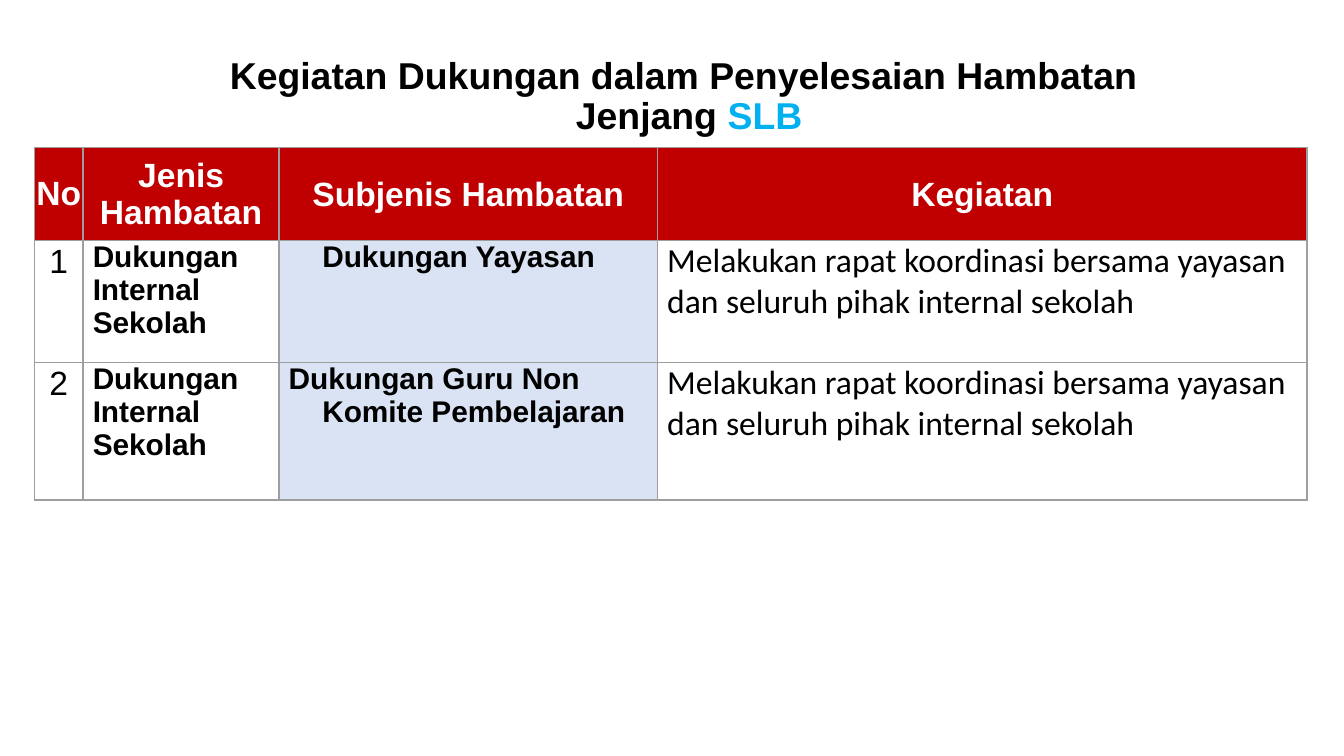
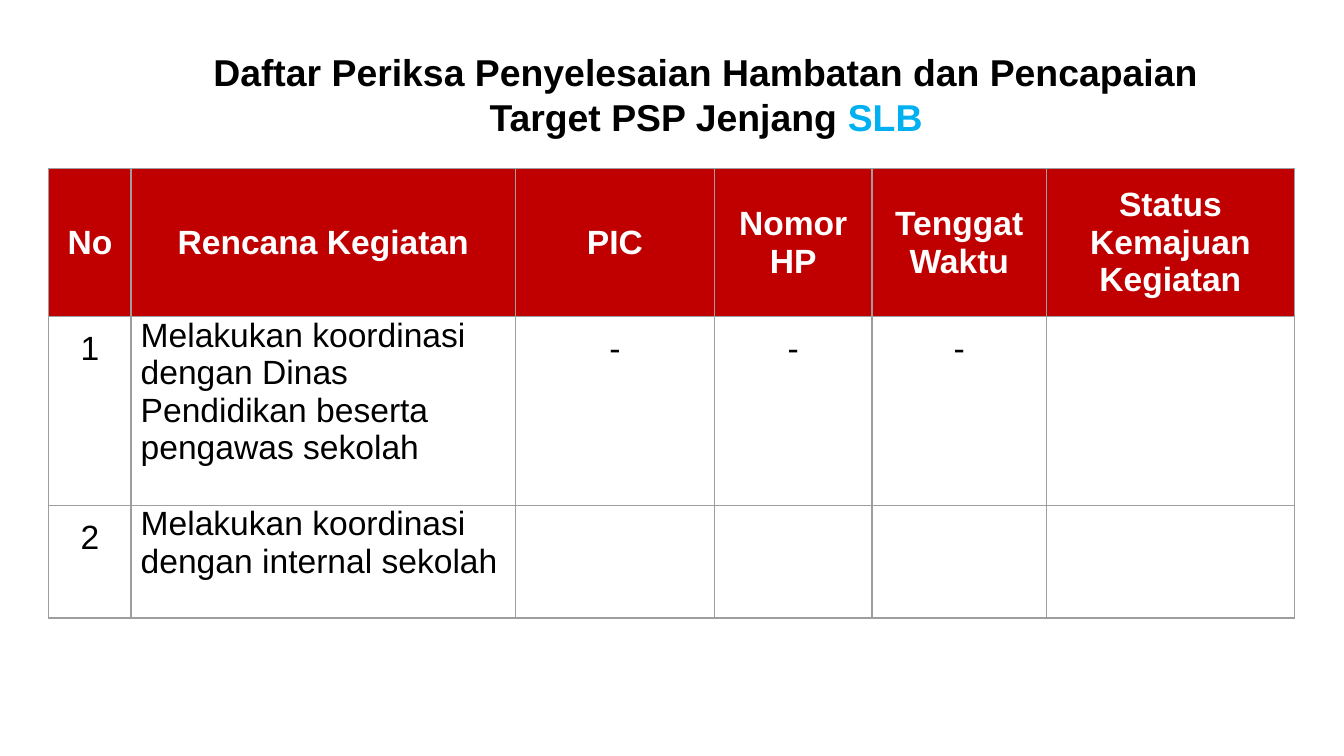
from pptx import Presentation
from pptx.dml.color import RGBColor
from pptx.enum.text import MSO_ANCHOR, PP_ALIGN
from pptx.oxml import parse_xml
from pptx.oxml.ns import nsdecls
from pptx.util import Pt

COLORS = {
    "text": "000000",
    "accent": "00B0F0",
    "header": "C00000",
    "header_text": "FFFFFF",
    "tint": "DAE3F3",
    "border": "9E9E9E",
}

# Cell styles; margins run left, top, right, bottom
EVEN = (7.2,) * 4
SIDES = (5.2, 0, 5.2, 0)
HEADER = dict(size=18, bold=True, color="header_text", fill="header",
              align=PP_ALIGN.CENTER, anchor=MSO_ANCHOR.MIDDLE)
NUMBER = dict(align=PP_ALIGN.CENTER, margins=SIDES, spacing=1.07)
KIND = dict(size=16, bold=True, margins=SIDES)
SUBKIND = dict(KIND, fill="tint", left=18, indent=-18)
SUBKIND_INDENTED = dict(SUBKIND, indent=0)
ACTIVITY = dict(font="Calibri", margins=SIDES)
PLAN = dict(margins=SIDES)
CENTERED = dict(align=PP_ALIGN.CENTER, margins=EVEN)


class Builder:
    """Holds the shared style and the current page."""

    def __init__(self):
        self.deck = Presentation()
        self.deck.slide_width, self.deck.slide_height = Pt(720), Pt(405)
        self.page = None

    def new_page(self):
        self.page = self.deck.slides.add_slide(self.deck.slide_layouts[6])

    def span(self, para, text, size=18, bold=False, color="text", font="Arial"):
        span = para.add_run()
        span.text = text
        span.font.name, span.font.size, span.font.bold = font, Pt(size), bold
        span.font.color.rgb = RGBColor.from_string(COLORS[color])

    def margins(self, target, values):
        (target.margin_left, target.margin_top,
         target.margin_right, target.margin_bottom) = map(Pt, values)

    def title(self, place, lines, accent, margins, anchor, spacing=1.0):
        box = self.page.shapes.add_textbox(*map(Pt, place))
        frame = box.text_frame
        frame.word_wrap = True
        frame.vertical_anchor = anchor
        self.margins(frame, margins)
        para = frame.paragraphs[0]
        para.alignment, para.line_spacing = PP_ALIGN.CENTER, spacing
        for number, line in enumerate(lines):
            if number:
                para.add_line_break()
            self.span(para, line, 20, True)
        self.span(para, accent, 20, True, "accent")

    def cell(self, cell, text, margins=EVEN, fill=None, align=PP_ALIGN.LEFT,
             anchor=MSO_ANCHOR.TOP, spacing=1.0, left=0, indent=0, **font):
        self.margins(cell, margins)
        cell.vertical_anchor = anchor
        para = cell.text_frame.paragraphs[0]
        para.alignment, para.line_spacing = align, spacing
        if left:
            properties = para._p.get_or_add_pPr()
            properties.set("marL", str(Pt(left)))
            properties.set("indent", str(Pt(indent)))
        if text:
            self.span(para, text, **font)
        # Borders come before the fill in the cell properties
        properties = cell._tc.get_or_add_tcPr()
        for side in ("lnL", "lnR", "lnT", "lnB"):
            properties.append(parse_xml(
                f'<a:{side} {nsdecls("a")} w="{Pt(0.75)}"><a:solidFill>'
                f'<a:srgbClr val="{COLORS["border"]}"/></a:solidFill></a:{side}>'))
        if fill:
            cell.fill.solid()
            cell.fill.fore_color.rgb = RGBColor.from_string(COLORS[fill])
        else:
            cell.fill.background()

    def table(self, left, top, widths, heights, rows):
        table = self.page.shapes.add_table(
            len(heights), len(widths), Pt(left), Pt(top),
            Pt(sum(widths)), Pt(sum(heights))).table
        table.first_row = table.horz_banding = False
        for column, width in zip(table.columns, widths):
            column.width = Pt(width)
        for row, height, entries in zip(table.rows, heights, rows):
            row.height = Pt(height)
            for cell, (text, style) in zip(row.cells, entries):
                self.cell(cell, text, **style)


def support_page(builder):
    builder.new_page()
    builder.title((59, 19.5, 620.5, 65.5),
                  ["Kegiatan Dukungan dalam Penyelesaian Hambatan ", "Jenjang "],
                  "SLB", (5.2, 2.6, 5.2, 2.6), MSO_ANCHOR.MIDDLE, 0.9)
    header = dict(HEADER, margins=(0.7, 0.7, 0.7, 0))
    kind = "Dukungan Internal Sekolah"
    activity = ("Melakukan rapat koordinasi bersama yayasan "
                "dan seluruh pihak internal sekolah")
    subkinds = [("Dukungan Yayasan", SUBKIND_INDENTED),
                ("Dukungan Guru Non Komite Pembelajaran", SUBKIND)]
    rows = [[("No", dict(HEADER, margins=(0,) * 4))]
            + [(name, header) for name in
               ("Jenis Hambatan", "Subjenis Hambatan", "Kegiatan")]]
    for number, subkind in enumerate(subkinds, 1):
        rows.append([(str(number), NUMBER), (kind, KIND), subkind,
                     (activity, ACTIVITY)])
    builder.table(18.5, 79, [26, 105, 202.75, 348], [49.7, 65.4, 73.8], rows)


def checklist_page(builder):
    builder.new_page()
    names = ("No", "Rencana Kegiatan", "PIC", "Nomor HP", "Tenggat Waktu",
             "Status Kemajuan Kegiatan")
    plans = [("Melakukan koordinasi dengan Dinas Pendidikan beserta "
              "pengawas sekolah", ["-", "-", "-", ""]),
             ("Melakukan koordinasi dengan internal sekolah", [""] * 4)]
    rows = [[(name, dict(HEADER, margins=EVEN)) for name in names]]
    for number, (plan, details) in enumerate(plans, 1):
        rows.append([(str(number), CENTERED), (plan, PLAN)]
                    + [(detail, CENTERED) for detail in details])
    builder.table(26.2, 90.4, [44, 206, 106.5, 84.5, 93.5, 132.75],
                  [75, 101, 60.5], rows)
    builder.title((97, 19, 562.5, 63.5),
                  ["Daftar Periksa Penyelesaian Hambatan dan Pencapaian "
                   "Target PSP Jenjang "], "SLB", EVEN, MSO_ANCHOR.TOP)


def main():
    builder = Builder()
    support_page(builder)
    checklist_page(builder)
    builder.deck.save("out.pptx")


if __name__ == "__main__":
    main()
